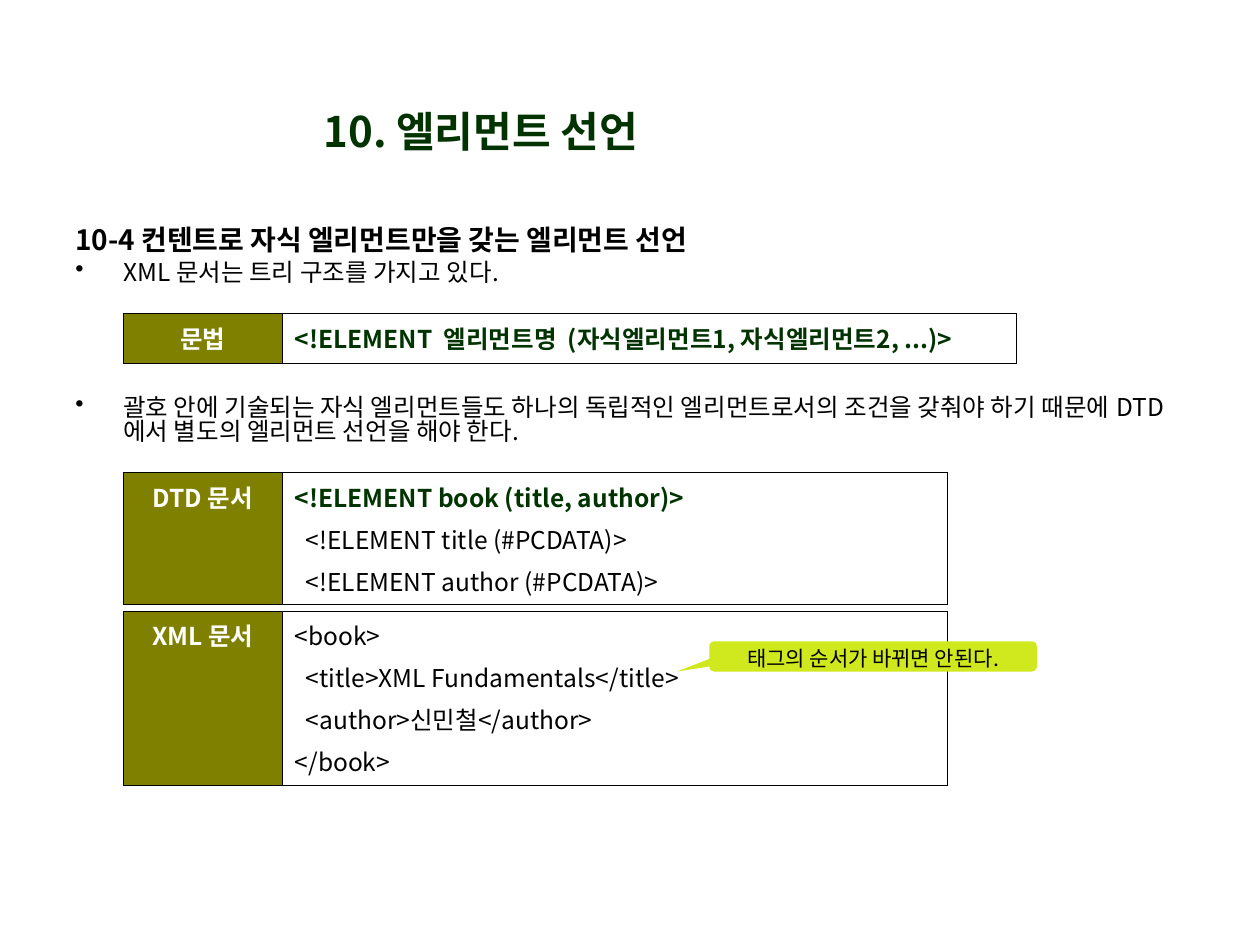
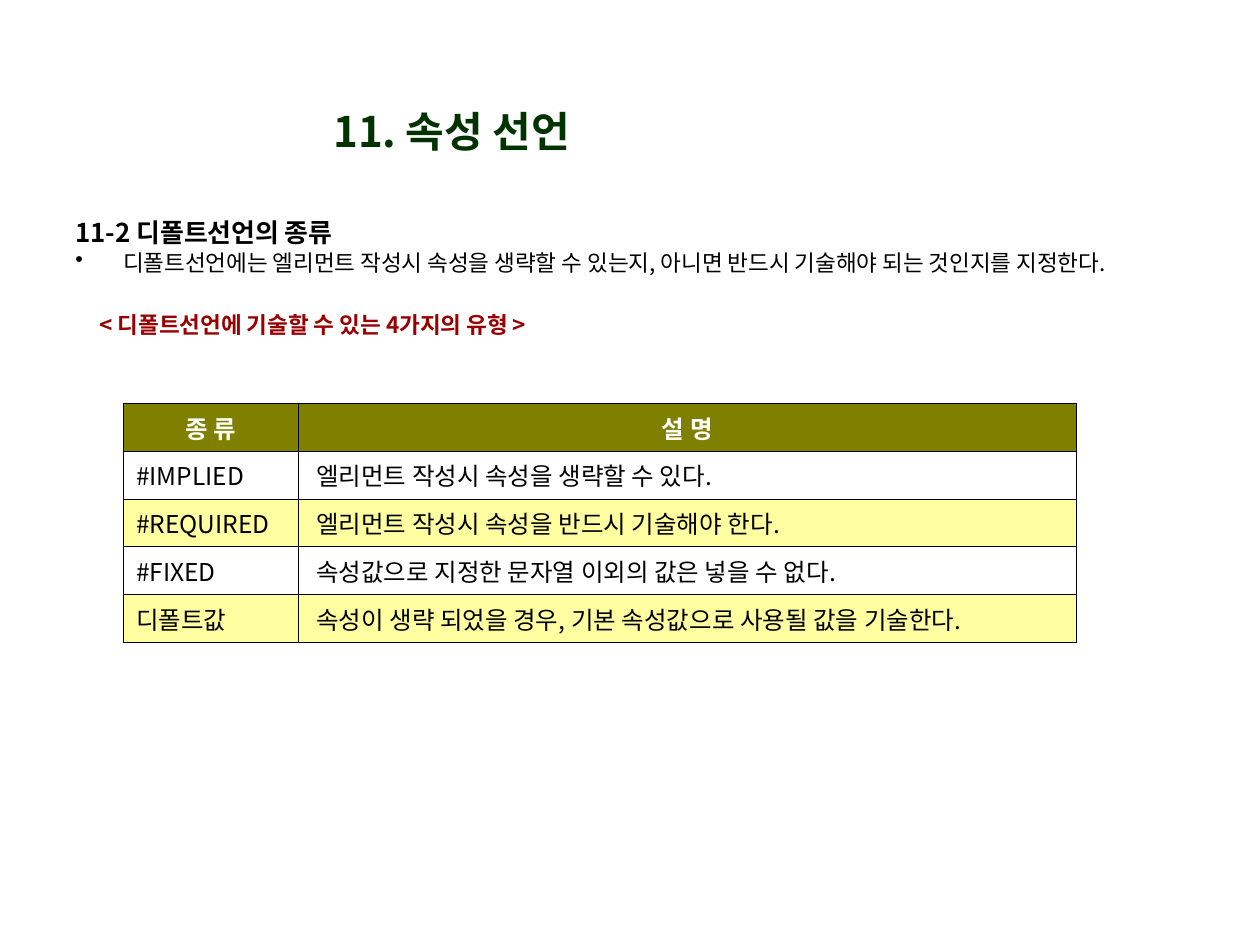
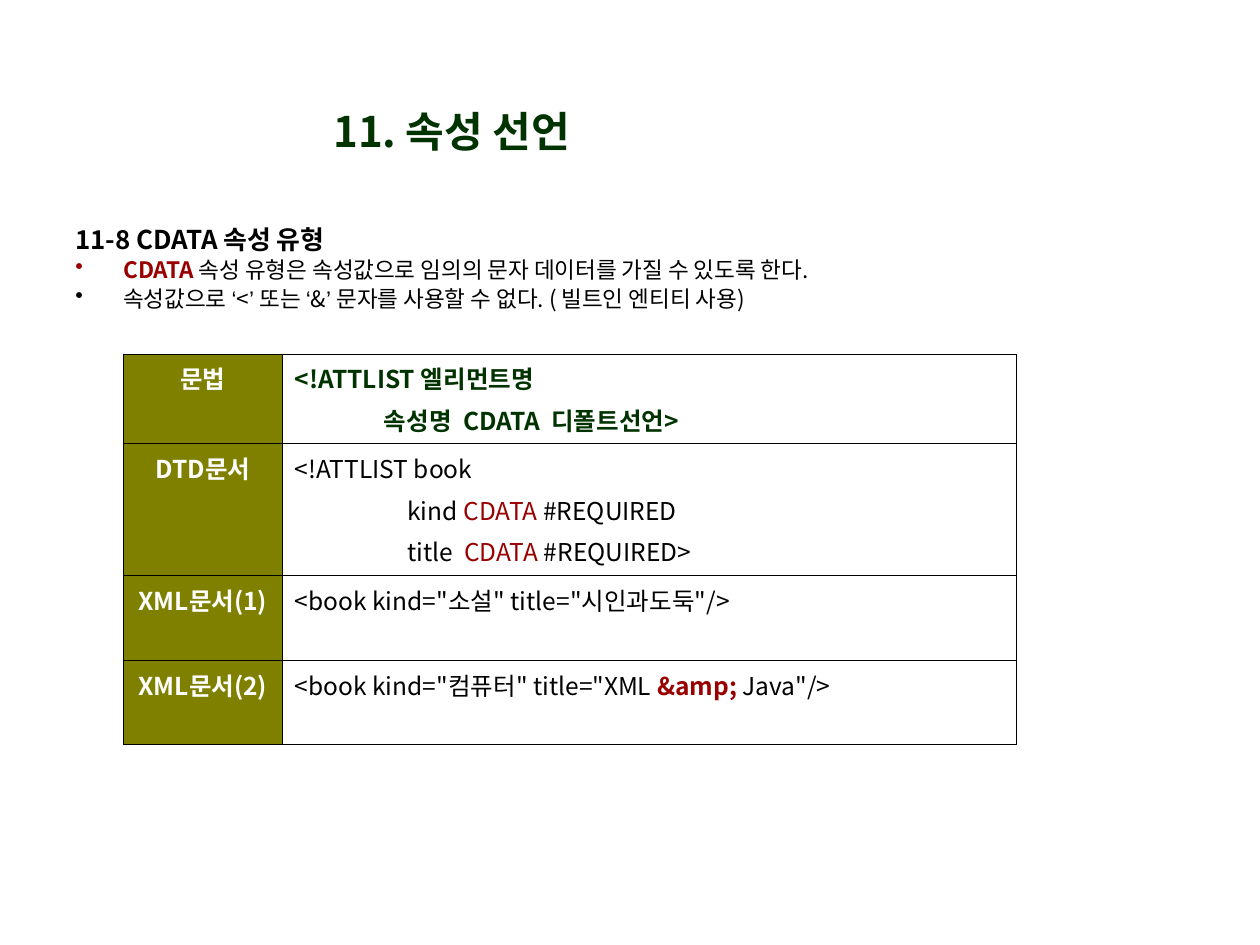
from dataclasses import dataclass

from lxml import etree
from pptx import Presentation
from pptx.dml.color import RGBColor
from pptx.enum.shapes import MSO_SHAPE
from pptx.enum.text import MSO_ANCHOR, PP_ALIGN
from pptx.oxml.ns import qn
from pptx.util import Inches, Pt

LEFT, CENTER = PP_ALIGN.LEFT, PP_ALIGN.CENTER
TOP, MIDDLE = MSO_ANCHOR.TOP, MSO_ANCHOR.MIDDLE
CALLOUT = MSO_SHAPE.ROUNDED_RECTANGULAR_CALLOUT


@dataclass(frozen=True)
class Theme:
    font: str = "Noto Sans CJK KR"
    quote_font: str = "Arial"
    black: str = "000000"
    white: str = "FFFFFF"
    green: str = "003300"
    red: str = "990000"
    olive: str = "808000"
    cream: str = "FFFFA1"
    lime: str = "D0E81E"
    title: float = 24
    heading: float = 16
    small_heading: float = 14.8
    body: float = 14
    small_body: float = 12.9
    note: float = 12
    code_gap: float = 3.5
    body_gap: float = 4
    body_spacing: float = 0.8
    hanging: float = 0.38
    border: float = 0.45


THEME = Theme()


def write(frame, text, size=THEME.body, color=THEME.black, bold=False, align=LEFT,
          bullet=None, indent=0, before=0, spacing=None):
    """Append a paragraph; text is a string or a list of (string, run overrides)."""
    paragraph = frame.paragraphs[0]
    if paragraph.runs:
        paragraph = frame.add_paragraph()
        paragraph.space_before = Pt(before)
    paragraph.alignment = align
    if spacing:
        paragraph.line_spacing = spacing
    properties = paragraph._p.get_or_add_pPr()
    properties.set("marL", str(Inches(THEME.hanging if bullet else indent)))
    properties.set("indent", str(Inches(-THEME.hanging if bullet else 0)))
    if bullet:
        bullet_color = etree.SubElement(properties, qn("a:buClr"))
        etree.SubElement(bullet_color, qn("a:srgbClr"), val=bullet)
        etree.SubElement(properties, qn("a:buChar"), char="•")
    else:
        etree.SubElement(properties, qn("a:buNone"))
    for content, changes in [(text, {})] if isinstance(text, str) else text:
        run = paragraph.add_run()
        run.text = content
        run.font.size = Pt(size)
        run.font.bold = changes.get("bold", bold)
        run.font.color.rgb = RGBColor.from_string(changes.get("color", color))
        run.font.name = changes.get("font", THEME.font)
        etree.SubElement(run.font._element, qn("a:ea"), typeface=run.font.name)


def add_grid(slide, left, top, widths, heights, fills):
    """Add a bordered table; fills holds one colour, or None, per cell."""
    table = slide.shapes.add_table(
        len(heights), len(widths), Inches(left), Inches(top),
        Inches(sum(widths)), Inches(sum(heights))).table
    table.first_row = table.horz_banding = False
    for column, width in zip(table.columns, widths):
        column.width = Inches(width)
    for row, height, row_fills in zip(table.rows, heights, fills):
        row.height = Inches(height)
        for cell, fill in zip(row.cells, row_fills):
            cell.margin_left = cell.margin_right = Inches(0.1)
            cell.margin_top = cell.margin_bottom = Inches(0.05)
            properties = cell._tc.get_or_add_tcPr()
            for side in ("lnL", "lnR", "lnT", "lnB"):
                line = etree.SubElement(properties, qn(f"a:{side}"), w=str(Pt(THEME.border)))
                solid = etree.SubElement(line, qn("a:solidFill"))
                etree.SubElement(solid, qn("a:srgbClr"), val=THEME.black)
            if fill:
                cell.fill.solid()
                cell.fill.fore_color.rgb = RGBColor.from_string(fill)
            else:
                cell.fill.background()
    return table


prs = Presentation()
prs.slide_width, prs.slide_height = Inches(10), Inches(7.5)

bullet_line = {"bullet": THEME.black, "before": THEME.body_gap, "spacing": THEME.body_spacing}
small_bullet = {**bullet_line, "size": THEME.small_body}
syntax = {"color": THEME.green, "bold": True}
red = {"color": THEME.red}

# Titles and body text: title, title left, body boxes as (top, height, paragraphs)
pages = [
    ("10. 엘리먼트 선언", 1.61, [
        (1.77, 0.66, [
            ("10-4 컨텐트로 자식 엘리먼트만을 갖는 엘리먼트 선언",
             {"size": THEME.heading, "bold": True, "spacing": THEME.body_spacing}),
            ("XML 문서는 트리 구조를 가지고 있다.", bullet_line)]),
        (3.11, 0.58, [
            ("괄호 안에 기술되는 자식 엘리먼트들도 하나의 독립적인 엘리먼트로서의 조건을 갖춰야 "
             "하기 때문에 DTD에서 별도의 엘리먼트 선언을 해야 한다.", bullet_line)])]),
    ("11. 속성 선언", 1.38, [
        (1.74, 1.29, [
            ("11-2 디폴트선언의 종류",
             {"size": THEME.small_heading, "bold": True, "spacing": 0.7}),
            ("디폴트선언에는 엘리먼트 작성시 속성을 생략할 수 있는지, 아니면 반드시 기술해야 "
             "되는 것인지를 지정한다.", small_bullet),
            ("< 디폴트선언에 기술할 수 있는 4가지의 유형 >",
             {"size": THEME.small_body, "color": THEME.red, "bold": True, "indent": 0.19,
              "before": 23, "spacing": THEME.body_spacing})])]),
    ("11. 속성 선언", 1.38, [
        (1.77, 0.9, [
            ("11-8 CDATA 속성 유형",
             {"size": THEME.small_heading, "bold": True, "spacing": THEME.body_spacing}),
            ([("CDATA ", {"color": THEME.red, "bold": True}),
              ("속성 유형은 속성값으로 임의의 문자 데이터를 가질 수 있도록 한다.", {})],
             {**small_bullet, "bullet": THEME.red}),
            ([("속성값으로 ", {}), ("‘", {"font": THEME.quote_font}), ("<", {}),
              ("’ ", {"font": THEME.quote_font}), ("또는 ", {}),
              ("‘", {"font": THEME.quote_font}), ("&", {}),
              ("’ ", {"font": THEME.quote_font}),
              ("문자를 사용할 수 없다. ( 빌트인 엔티티 사용)", {})], small_bullet)])]),
]
slides = []
for title_text, title_left, bodies in pages:
    slide = prs.slides.add_slide(prs.slide_layouts[5])
    slides.append(slide)
    title = slide.shapes.title
    title.left, title.top = Inches(title_left), Inches(0.76)
    title.width, title.height = Inches(4.41), Inches(0.55)
    title.text_frame.vertical_anchor = MIDDLE
    write(title.text_frame, title_text, size=THEME.title, color=THEME.green, bold=True,
          align=CENTER)
    for top, height, paragraphs in bodies:
        frame = slide.shapes.add_textbox(
            Inches(0.5), Inches(top), Inches(8.99), Inches(height)).text_frame
        frame.word_wrap = True
        for text, style in paragraphs:
            write(frame, text, **style)
element_slide, default_slide, cdata_slide = slides

# Labelled code tables: slide, top, code width, rows of (label, height, code lines)
code_tables = [
    (element_slide, 2.49, 5.83, [
        ("문법", 0.39, [("<!ELEMENT  엘리먼트명  (자식엘리먼트1, 자식엘리먼트2, ...)>", syntax)])]),
    (element_slide, 3.75, 5.28, [
        ("DTD 문서", 1.05, [
            ("<!ELEMENT book (title, author)>", syntax),
            ("  <!ELEMENT title (#PCDATA)>", {}),
            ("  <!ELEMENT author (#PCDATA)>", {})])]),
    (element_slide, 4.85, 5.28, [
        ("XML 문서", 1.38, [
            ("<book>", {}),
            ("  <title>XML Fundamentals</title>", {}),
            ("  <author>신민철</author>", {}),
            ("</book>", {})])]),
    (cdata_slide, 2.81, 5.83, [
        ("문법", 0.71, [
            ("<!ATTLIST 엘리먼트명", syntax),
            ("                속성명  CDATA  디폴트선언>", syntax)]),
        ("DTD문서", 1.05, [
            ("<!ATTLIST book", {}),
            ([("\t         kind ", {}), ("CDATA", red), (" #REQUIRED", {})], {}),
            ([("\t         title  ", {}), ("CDATA", red), (" #REQUIRED>", {})], {})]),
        ("XML문서(1)", 0.67, [('<book kind="소설" title="시인과도둑"/>', {})]),
        ("XML문서(2)", 0.67, [
            ([('<book kind="컴퓨터" title="XML ', {}),
              ("&amp;", {"color": THEME.red, "bold": True}), (' Java"/>', {})], {})])]),
]
for slide, top, code_width, rows in code_tables:
    heights = [height for _, height, _ in rows]
    table = add_grid(slide, 0.98, top, [1.26, code_width], heights,
                     [(THEME.olive, None)] * len(rows))
    for row, (label, _, code_lines) in zip(table.rows, rows):
        label_cell, code_cell = row.cells
        write(label_cell.text_frame, label, color=THEME.white, bold=True, align=CENTER)
        for text, style in code_lines:
            write(code_cell.text_frame, text, before=THEME.code_gap, **style)

# Note on tag order
order_note = element_slide.shapes.add_shape(
    CALLOUT, Inches(5.63), Inches(5.09), Inches(2.6), Inches(0.24))
for index, value in enumerate((-0.6, 0.5, 0.17)):
    order_note.adjustments[index] = value
order_note.shadow.inherit = False
order_note.fill.solid()
order_note.fill.fore_color.rgb = RGBColor.from_string(THEME.lime)
order_note.line.fill.background()
order_note.text_frame.word_wrap = True
order_note.text_frame.vertical_anchor = TOP
order_note.text_frame.margin_top = Inches(0.02)
write(order_note.text_frame, "태그의 순서가 바뀌면 안된다.", size=THEME.note, align=CENTER)

# Kinds of default declaration
default_kinds = [
    ("종 류", "설 명"),
    ("#IMPLIED", "엘리먼트 작성시 속성을 생략할 수 있다."),
    ("#REQUIRED", "엘리먼트 작성시 속성을 반드시 기술해야 한다."),
    ("#FIXED", "속성값으로 지정한 문자열 이외의 값은 넣을 수 없다."),
    ("디폴트값", "속성이 생략 되었을 경우, 기본 속성값으로 사용될 값을 기술한다."),
]
row_fills = [THEME.olive] + [THEME.white, THEME.cream] * 2
kinds_table = add_grid(default_slide, 0.98, 3.2, [1.39, 6.17], [0.38] * len(default_kinds),
                       [(fill, fill) for fill in row_fills])
for index, (row, texts) in enumerate(zip(kinds_table.rows, default_kinds)):
    for cell, text, indent in zip(row.cells, texts, (0, 0.04)):
        if index == 0:
            write(cell.text_frame, text, color=THEME.white, bold=True, align=CENTER)
        else:
            write(cell.text_frame, text, indent=indent)
    if index:
        row.cells[0].vertical_anchor = MIDDLE

prs.save("out.pptx")
